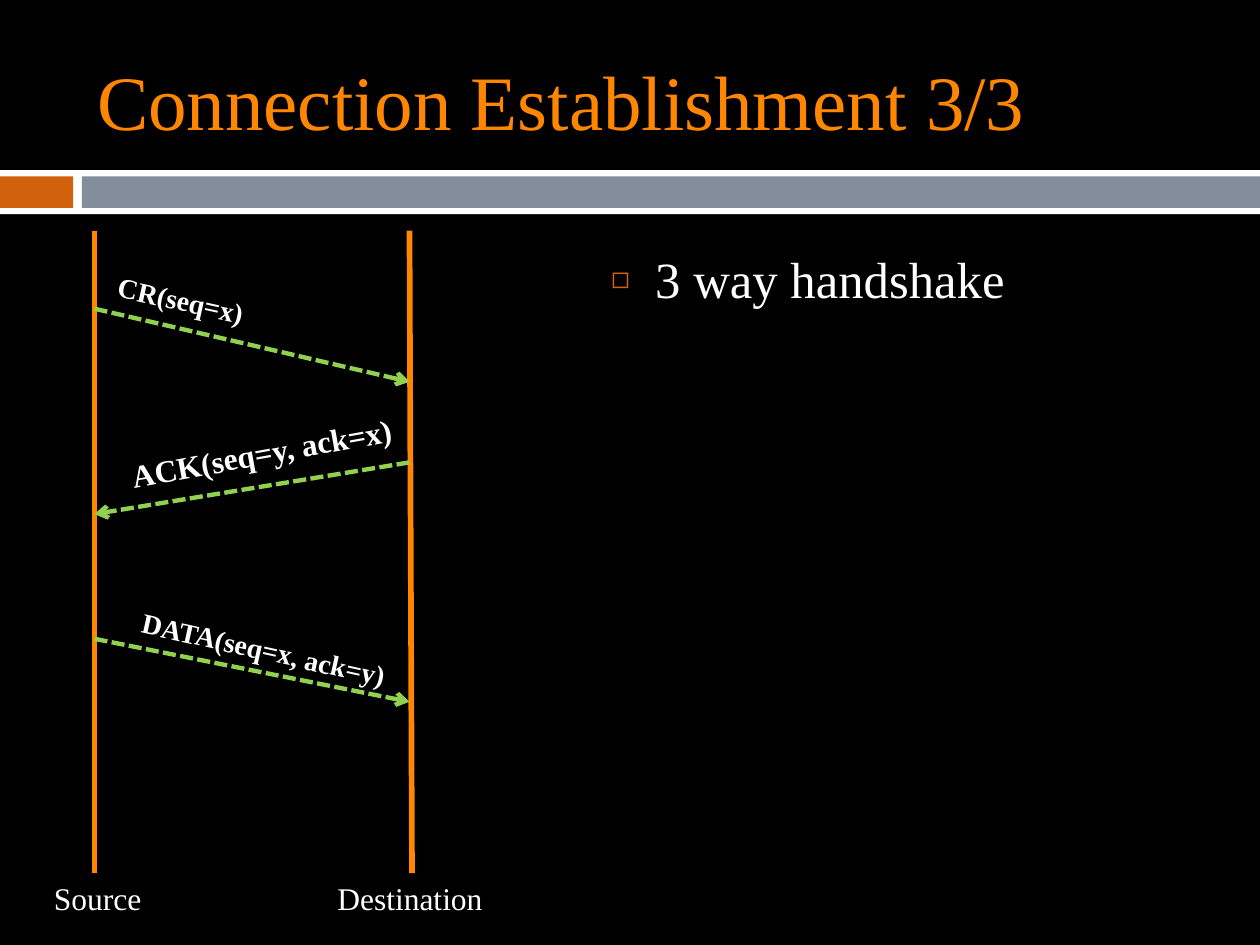
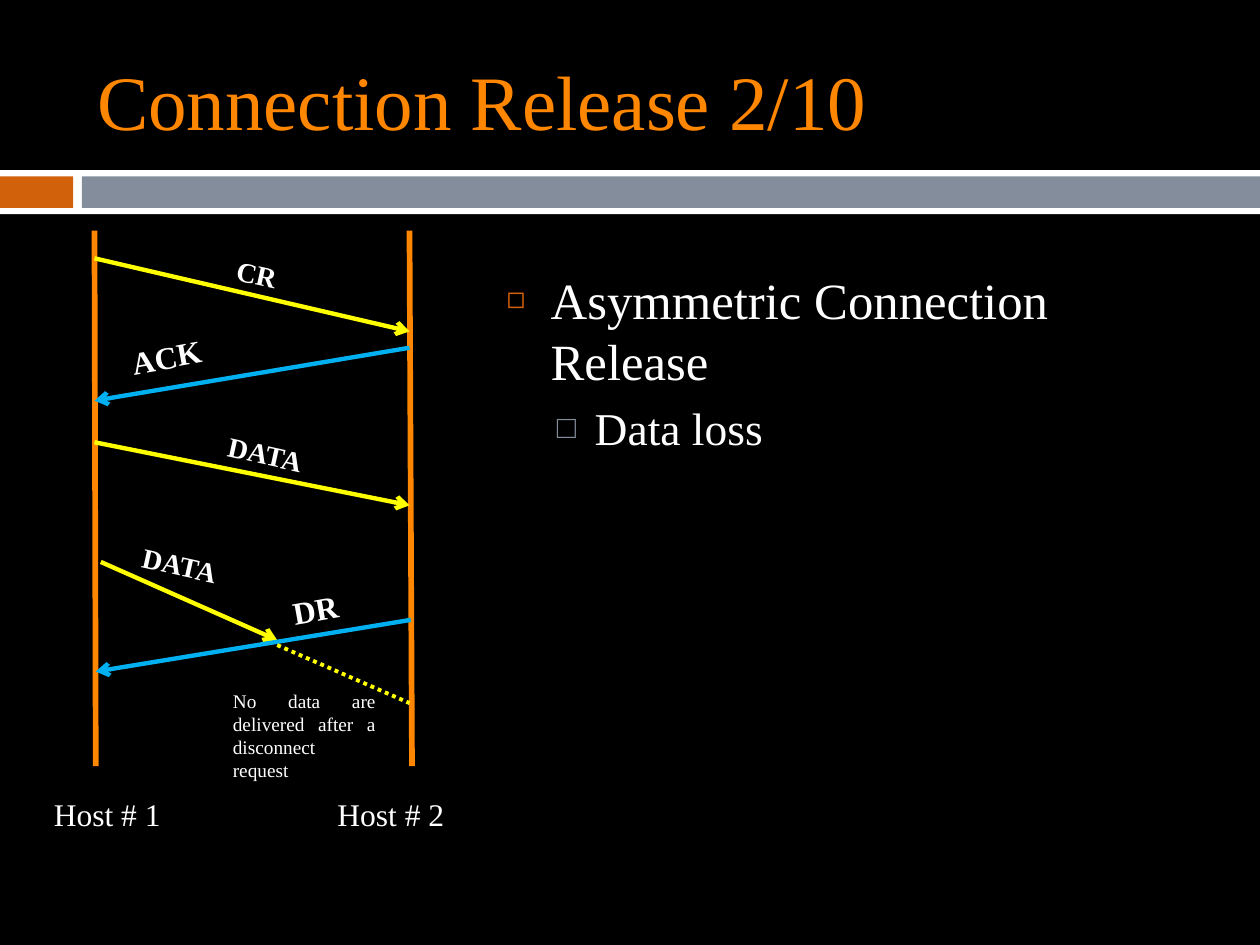
from lxml import etree
from pptx import Presentation
from pptx.dml.color import RGBColor
from pptx.enum.dml import MSO_LINE
from pptx.enum.shapes import MSO_CONNECTOR, MSO_SHAPE
from pptx.enum.text import MSO_ANCHOR, MSO_AUTO_SIZE, PP_ALIGN
from pptx.oxml.ns import qn
from pptx.util import Pt

PX = 9144  # 100 px to the inch
FONT = "Times New Roman"

BLACK = RGBColor(0x00, 0x00, 0x00)
WHITE = RGBColor(0xFF, 0xFF, 0xFF)
ORANGE = RGBColor(0xFF, 0x86, 0x00)
RUST = RGBColor(0xD2, 0x61, 0x0C)
SLATE = RGBColor(0x83, 0x8D, 0x9B)
GREEN = RGBColor(0x92, 0xD0, 0x50)
YELLOW = RGBColor(0xFF, 0xFF, 0x00)
BLUE = RGBColor(0x00, 0xB0, 0xF0)

RECT = MSO_SHAPE.RECTANGLE
STRAIGHT = MSO_CONNECTOR.STRAIGHT
DASH, DOT = MSO_LINE.SQUARE_DOT, MSO_LINE.ROUND_DOT
LEFT, JUST = PP_ALIGN.LEFT, PP_ALIGN.JUSTIFY
MIDDLE, TOP = MSO_ANCHOR.MIDDLE, MSO_ANCHOR.TOP
GROW, FIXED = MSO_AUTO_SIZE.SHAPE_TO_FIT_TEXT, MSO_AUTO_SIZE.NONE

# Bullet levels: text size, margin, hang, space before, sign, colour, percent
LEVELS = [(29, 35, 35, 7, "◻", RUST, 60),
          (26, 70, 30, 5.5, "□", SLATE, 70)]

# Tilt of a label that follows a message to the right or to the left
DOWN, BACK = 12.5, -10.3


def emu(*sizes):
    return [size * PX for size in sizes]


class Deck:
    def __init__(self):
        self.prs = Presentation()
        self.prs.slide_width, self.prs.slide_height = emu(1000, 750)
        fill = self.prs.slide_master.background.fill
        fill.solid()
        fill.fore_color.rgb = BLACK
        self.slide = None

    def style(self, para, size, color=WHITE, bold=False, align=LEFT):
        para.alignment = align
        font = para.font
        font.name, font.size, font.bold = FONT, Pt(size), bold
        font.color.rgb = color

    def place(self, shape, box):
        shape.left, shape.top, shape.width, shape.height = emu(*box)

    def start(self, title):
        """Open a slide with its bands and title."""
        self.slide = self.prs.slides.add_slide(self.prs.slide_layouts[1])
        self.band((0, 135, 1000, 35), WHITE)
        self.band((0, 140, 58, 25), RUST)
        self.band((65, 140, 935, 25), SLATE)
        head = self.slide.shapes.title
        self.place(head, (67, 25, 892, 108))
        frame = head.text_frame
        frame.text = title
        frame.vertical_anchor, frame.auto_size = MIDDLE, FIXED
        self.style(frame.paragraphs[0], 44, ORANGE)

    def band(self, box, color):
        shape = self.slide.shapes.add_shape(RECT, *emu(*box))
        shape.shadow.inherit = False
        shape.fill.solid()
        shape.fill.fore_color.rgb = color
        shape.line.fill.background()

    def bullets(self, box, items):
        """Fill the body with one item per level."""
        body = self.slide.placeholders[1]
        self.place(body, box)
        frame = body.text_frame
        frame.text = "\n".join(items)
        frame.vertical_anchor, frame.auto_size = TOP, FIXED
        for level, para in enumerate(frame.paragraphs):
            size, margin, hang, gap, sign, color, scale = LEVELS[level]
            para.level = level
            props = para._p.get_or_add_pPr()
            props.set("marL", str(margin * PX))
            props.set("indent", str(-hang * PX))
            tint = etree.SubElement(props, qn("a:buClr"))
            etree.SubElement(tint, qn("a:srgbClr"), val=str(color))
            etree.SubElement(props, qn("a:buSzPct"), val=str(scale * 1000))
            etree.SubElement(props, qn("a:buChar"), char=sign)
            para.space_before = Pt(gap if level else 0)
            self.style(para, size)

    def line(self, ends, color, width=2.5, dash=None, arrow=True):
        link = self.slide.shapes.add_connector(STRAIGHT, *emu(*ends))
        link.line.color.rgb = color
        link.line.width = Pt(width)
        if dash:
            link.line.dash_style = dash
        if arrow:
            etree.SubElement(link.line._ln, qn("a:tailEnd"), type="arrow")
        etree.SubElement(link._element.spPr, qn("a:effectLst"))

    def text(self, box, words, size=18, bold=False, tilt=0, wrap=False,
             align=LEFT):
        shape = self.slide.shapes.add_textbox(*emu(*box))
        shape.rotation = tilt
        frame = shape.text_frame
        frame.text = words
        frame.word_wrap, frame.auto_size = wrap, GROW
        self.style(frame.paragraphs[0], size, WHITE, bold, align)

    def label(self, box, words, tilt):
        """Name a message along its arrow."""
        back = tilt == BACK
        self.text(box, words, 18 if back else 16, True, tilt, back)

    def hosts(self, lean, end, top, names):
        """Draw the two time lines with a name below each."""
        self.line((75, 183, 75 + lean, end), ORANGE, 3.25, arrow=False)
        self.line((325, 183, 327, end), ORANGE, 3.25, arrow=False)
        for left, (name, width) in zip((33, 258), names):
            self.text((left, top, width, 40), name)


def main():
    deck = Deck()

    # Three way handshake
    deck.start("Connection Establishment 3/3")
    deck.bullets((475, 192, 358, 75), ["3 way handshake"])
    deck.hosts(0, 693, 693, [("Source", 97), ("Destination", 137)])
    for ends in ((75, 507, 325, 557), (325, 367, 75, 408),
                 (75, 245, 325, 303)):
        deck.line(ends, GREEN, dash=DASH)
    deck.label((101, 497, 219, 37), "DATA(seq=x, ack=y)", DOWN)
    deck.label((93, 337, 254, 40), "ACK(seq=y, ack=x)", BACK)
    deck.label((83, 220, 123, 37), "CR(seq=x)", DOWN)

    # Release with data loss
    deck.start("Connection Release 2/10")
    deck.bullets((392, 208, 575, 188),
                 ["Asymmetric Connection Release", "Data loss"])
    deck.hosts(1, 608, 626, [("Host # 1", 106), ("Host # 2", 112)])
    for ends, color, box, words, tilt in (
            ((75, 205, 325, 263), YELLOW, (178, 199, 52, 37), "CR", DOWN),
            ((325, 276, 75, 318), BLUE, (93, 247, 254, 40), "ACK", BACK),
            ((75, 351, 325, 401), YELLOW, (171, 342, 80, 37), "DATA", DOWN),
            ((80, 446, 220, 508), YELLOW, (103, 430, 80, 37), "DATA", DOWN),
            ((326, 492, 76, 533), BLUE, (222, 460, 91, 40), "DR", BACK)):
        deck.line(ends, color)
        deck.label(box, words, tilt)

    # Lost part of the last message
    deck.line((220, 512, 325, 558), YELLOW, 2.25, DOT, False)
    deck.text((175, 542, 133, 66),
              "No data are delivered after a disconnect request",
              11, wrap=True, align=JUST)

    deck.prs.save("out.pptx")


if __name__ == "__main__":
    main()
